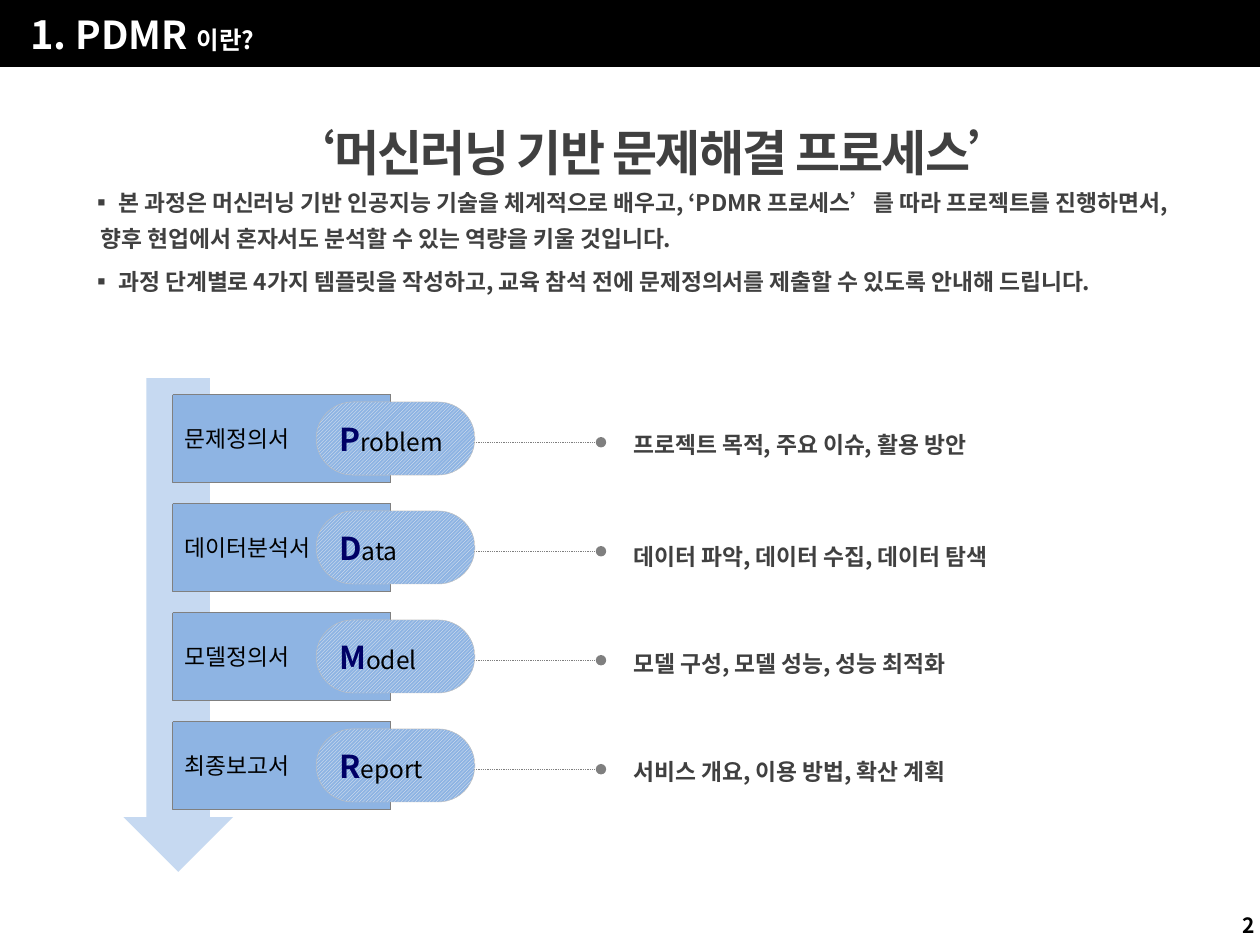
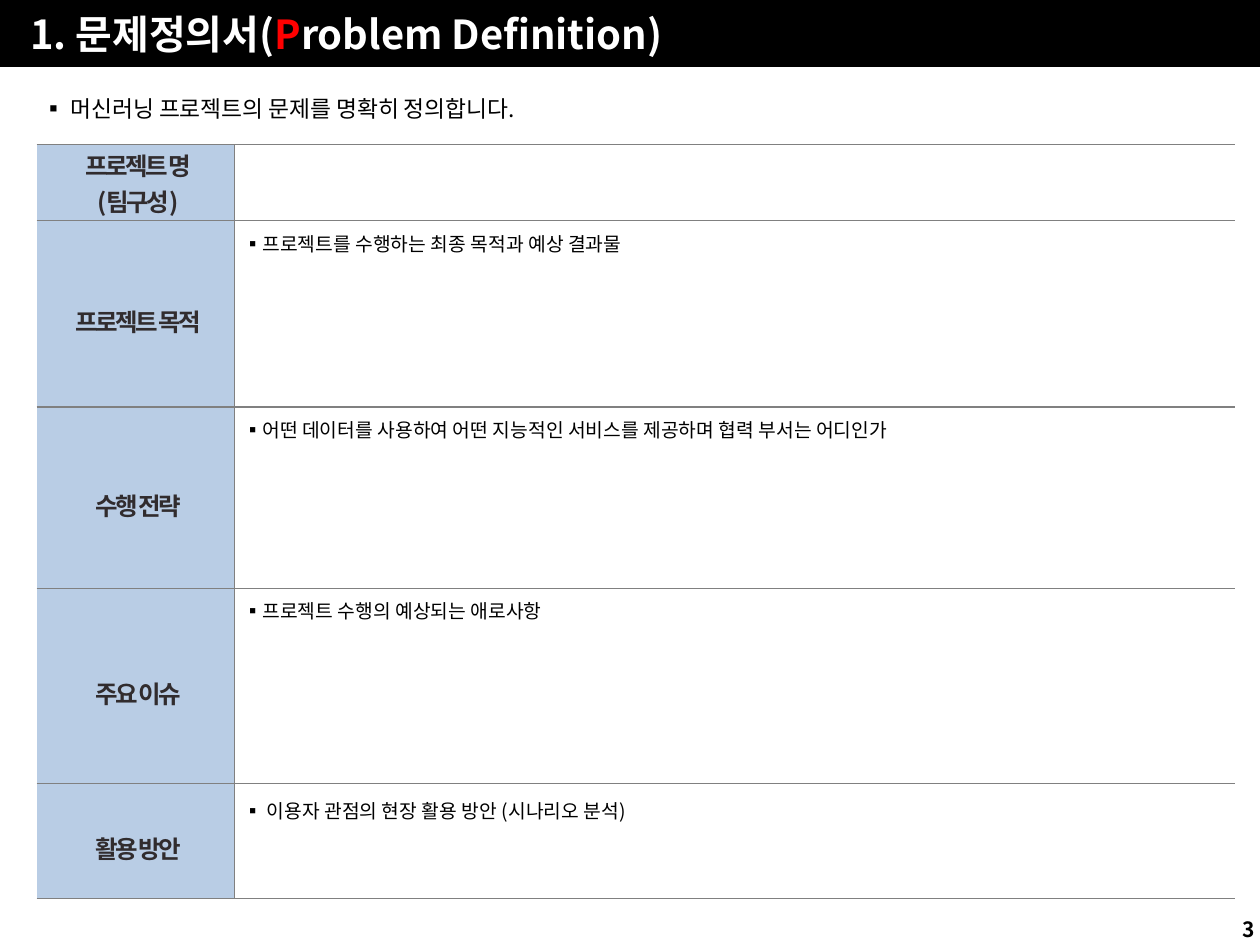
from dataclasses import dataclass
from typing import NamedTuple

from lxml import etree
from pptx import Presentation
from pptx.dml.color import RGBColor
from pptx.enum.dml import MSO_LINE, MSO_PATTERN
from pptx.enum.shapes import MSO_CONNECTOR, MSO_SHAPE
from pptx.enum.text import MSO_ANCHOR, PP_ALIGN
from pptx.oxml.ns import qn
from pptx.util import Inches, Pt

RECT, PILL, DOWN_ARROW = MSO_SHAPE.RECTANGLE, MSO_SHAPE.ROUNDED_RECTANGLE, MSO_SHAPE.DOWN_ARROW
STRAIGHT = MSO_CONNECTOR.STRAIGHT
DOTTED, HATCH = MSO_LINE.ROUND_DOT, MSO_PATTERN.DARK_UPWARD_DIAGONAL
TOP, MIDDLE = MSO_ANCHOR.TOP, MSO_ANCHOR.MIDDLE
LEFT, CENTER, RIGHT = PP_ALIGN.LEFT, PP_ALIGN.CENTER, PP_ALIGN.RIGHT

FONT = "Noto Sans CJK KR"
COLORS = {
    "black": "000000", "white": "FFFFFF", "red": "FF0000", "navy": "000066",
    "body": "404040", "label": "312C2E", "arrow": "C6D9F1", "step": "8EB4E3",
    "hatch": "F2F2F2", "pill_edge": "BFBFBF", "leader": "7F7F7F",
    "edge": "808080", "heading": "B9CDE5",
}
COLUMNS, ROWS, UNIT = 100, 75, 0.1
STEP_PITCH = 8.65


class Area(NamedTuple):
    col: float
    row: float
    cols: float
    rows: float


class Span(NamedTuple):
    text: str
    size: float
    color: str = "black"
    bold: bool = False
    spacing: float = 0


@dataclass
class Para:
    spans: list[Span]
    align: PP_ALIGN = LEFT
    leading: float = 1
    before: float = 0
    after: float = 0
    indent: float = 0


class Step(NamedTuple):
    document: str
    initial: str
    rest: str
    details: str
    details_row: float
    details_cols: float


class Section(NamedTuple):
    labels: list[str]
    guide: str
    rows: float
    label_leading: float = 1.4
    guide_leading: float = 1.2


STEPS = [
    Step("문제정의서", "P", "roblem", "프로젝트 목적, 주요 이슈, 활용 방안", 32.6, 29.7),
    Step("데이터분석서", "D", "ata", "데이터 파악, 데이터 수집, 데이터 탐색", 41.5, 31.5),
    Step("모델정의서", "M", "odel", "모델 구성, 모델 성능, 성능 최적화", 50, 28),
    Step("최종보고서", "R", "eport", "서비스 개요, 이용 방법, 확산 계획", 58.6, 28),
]
SECTIONS = [
    Section(["프로젝트 명", "(팀구성)"], "", 6, 1),
    Section(["프로젝트 목적"], "▪프로젝트를 수행하는 최종 목적과 예상 결과물", 14.8),
    Section(["수행 전략"],
            "▪어떤 데이터를 사용하여 어떤 지능적인 서비스를 제공하며 협력 부서는 어디인가", 14.4),
    Section(["주요 이슈"], "▪프로젝트 수행의 예상되는 애로사항", 15.5),
    Section(["활용 방안"], "▪ 이용자 관점의 현장 활용 방안 (시나리오 분석)", 9.1, 1.4, 1.35),
]


def grid(count: float) -> int:
    return Inches(count * UNIT)


def rgb(name: str) -> RGBColor:
    return RGBColor.from_string(COLORS[name])


def write(frame, paras: list[Para]) -> None:
    for index, para in enumerate(paras):
        target = frame.paragraphs[0] if index == 0 else frame.add_paragraph()
        target.alignment = para.align
        target.line_spacing = para.leading
        target.space_before, target.space_after = Pt(para.before), Pt(para.after)
        if para.indent:
            target._p.get_or_add_pPr().set("marL", str(grid(para.indent)))
        for span in para.spans:
            run = target.add_run()
            run.text = span.text
            run.font.size, run.font.bold, run.font.name = Pt(span.size), span.bold, FONT
            run.font.color.rgb = rgb(span.color)
            properties = run._r.get_or_add_rPr()
            etree.SubElement(properties, qn("a:ea")).set("typeface", FONT)
            if span.spacing:
                properties.set("spc", str(int(span.spacing * 100)))


def add_text(slide, area: Area, paras: list[Para], anchor=TOP) -> None:
    box = slide.shapes.add_textbox(*map(grid, area))
    box.text_frame.word_wrap = True
    box.text_frame.vertical_anchor = anchor
    write(box.text_frame, paras)


def add_block(slide, kind, area: Area, fill: str, paras: list[Para] | None = None):
    block = slide.shapes.add_shape(kind, *map(grid, area))
    block.shadow.inherit = False
    block.fill.solid()
    block.fill.fore_color.rgb = rgb(fill)
    block.line.fill.background()
    if paras:
        block.text_frame.word_wrap = True
        block.text_frame.vertical_anchor = MIDDLE
        write(block.text_frame, paras)
    return block


def outline(item, color: str, width: float) -> None:
    item.line.color.rgb = rgb(color)
    item.line.width = Pt(width)


def add_page(deck, title: list[Span], number: str, number_row: float):
    slide = deck.slides.add_slide(deck.slide_layouts[6])
    band = add_block(slide, RECT, Area(0, 0.1, COLUMNS, 5.1), "black", [Para(title)])
    outline(band, "black", 2)
    band.text_frame.margin_left = grid(2.4)
    add_text(slide, Area(93.3, number_row, 7.3, 3.1),
             [Para([Span(number, 12, bold=True)], RIGHT)], MIDDLE)
    return slide


def add_leader(slide, row: float) -> None:
    leader = slide.shapes.add_connector(
        STRAIGHT, grid(47.7), grid(row), grid(35.9), grid(row))
    outline(leader, "leader", 0.5)
    leader.line.dash_style = DOTTED
    properties = leader._element.spPr
    etree.SubElement(properties.find(qn("a:ln")), qn("a:headEnd")).set("type", "oval")
    etree.SubElement(properties, qn("a:effectLst"))


def add_step(slide, step: Step, offset: float) -> None:
    add_leader(slide, 35.1 + offset)
    document = add_block(slide, RECT, Area(13.7, 31.3 + offset, 17.3, 7), "step",
                         [Para([Span(step.document, 13)], after=3)])
    outline(document, "edge", 0.25)
    document.line.dash_style = DOTTED
    add_text(slide, Area(49.3, step.details_row, step.details_cols, 4.3),
             [Para([Span(step.details, 13, "body", True)], leading=1.5, after=3)])
    pill = add_block(slide, PILL, Area(25.1, 31.9 + offset, 12.6, 5.8), "step",
                     [Para([Span(step.initial, 18, "navy", True), Span(step.rest, 14)],
                           after=8)])
    pill.adjustments[0] = 0.5
    pill.fill.patterned()
    pill.fill.pattern = HATCH
    pill.fill.fore_color.rgb, pill.fill.back_color.rgb = rgb("hatch"), rgb("step")
    outline(pill, "pill_edge", 0.25)


def build_process(deck) -> None:
    slide = add_page(deck, [Span("1. ", 22.8, "white", True), Span("PDMR ", 22, "white", True),
                            Span("이란?", 14, "white", True)], "2", 71.9)

    def body(text: str, **layout) -> Para:
        return Para([Span(text, 13, "body", True)], leading=1.3, **layout)

    add_text(slide, Area(6.2, 7.8, 91.1, 16.3), [
        Para([Span("‘머신러닝 기반 문제해결 프로세스’", 28, "body", True, -1)], CENTER, 1.3),
        body("▪ 본 과정은 머신러닝 기반 인공지능 기술을 체계적으로 배우고, "
             "‘PDMR 프로세스’를 따라 프로젝트를 진행하면서,"),
        body("향후 현업에서 혼자서도 분석할 수 있는 역량을 키울 것입니다.", indent=0.8),
        body("▪ 과정 단계별로 4가지 템플릿을 작성하고, "
             "교육 참석 전에 문제정의서를 제출할 수 있도록 안내해 드립니다.", before=4.5),
    ])
    flow = add_block(slide, DOWN_ARROW, Area(9.8, 30, 8.7, 39.2), "arrow")
    flow.adjustments[0], flow.adjustments[1] = 0.58, 0.5
    for index, step in enumerate(STEPS):
        add_step(slide, step, index * STEP_PITCH)


def set_borders(cell, sides: str) -> None:
    properties = cell._tc.get_or_add_tcPr()
    for index, side in enumerate("LRTB"):
        border = etree.Element(qn(f"a:ln{side}"), w=str(Pt(0.75)))
        if side in sides:
            fill = etree.SubElement(border, qn("a:solidFill"))
            etree.SubElement(fill, qn("a:srgbClr")).set("val", COLORS["edge"])
        else:
            etree.SubElement(border, qn("a:noFill"))
        properties.insert(index, border)


def fill_cell(cell, paras: list[Para], sides: str, anchor) -> None:
    cell.margin_left = cell.margin_right = grid(0.7)
    cell.margin_top = cell.margin_bottom = grid(0.2)
    cell.vertical_anchor = anchor
    write(cell.text_frame, paras)
    set_borders(cell, sides)


def build_definition(deck) -> None:
    slide = add_page(deck, [Span("1. 문제정의서(", 22.8, "white", True),
                            Span("P", 22.8, "red", True),
                            Span("roblem Definition)", 22.8, "white", True)], "3", 72.2)
    add_text(slide, Area(2.4, 6.6, 89.5, 3.4),
             [Para([Span("▪ 머신러닝 프로젝트의 문제를 명확히 정의합니다.", 13)], leading=1.2)])
    height = sum(section.rows for section in SECTIONS)
    table = slide.shapes.add_table(
        len(SECTIONS), 2, *map(grid, Area(2.9, 11.5, 95.1, height))).table
    table.first_row = table.horz_banding = False
    table.columns[0].width, table.columns[1].width = grid(15.7), grid(79.4)
    for index, section in enumerate(SECTIONS):
        table.rows[index].height = grid(section.rows)
        heading, content = table.cell(index, 0), table.cell(index, 1)
        heading.fill.solid()
        heading.fill.fore_color.rgb = rgb("heading")
        content.fill.background()
        fill_cell(heading, [Para([Span(label, 14, "label", True, -1.5)], CENTER,
                                 section.label_leading, indent=0.4)
                            for label in section.labels], "RTB", MIDDLE)
        guide = [Span(section.guide, 11)] if section.guide else []
        fill_cell(content, [Para(guide, leading=section.guide_leading)], "LTB", TOP)


def main() -> None:
    """Build the two PDMR course slides."""
    deck = Presentation()
    deck.slide_width, deck.slide_height = grid(COLUMNS), grid(ROWS)
    build_process(deck)
    build_definition(deck)
    deck.save("out.pptx")


if __name__ == "__main__":
    main()
